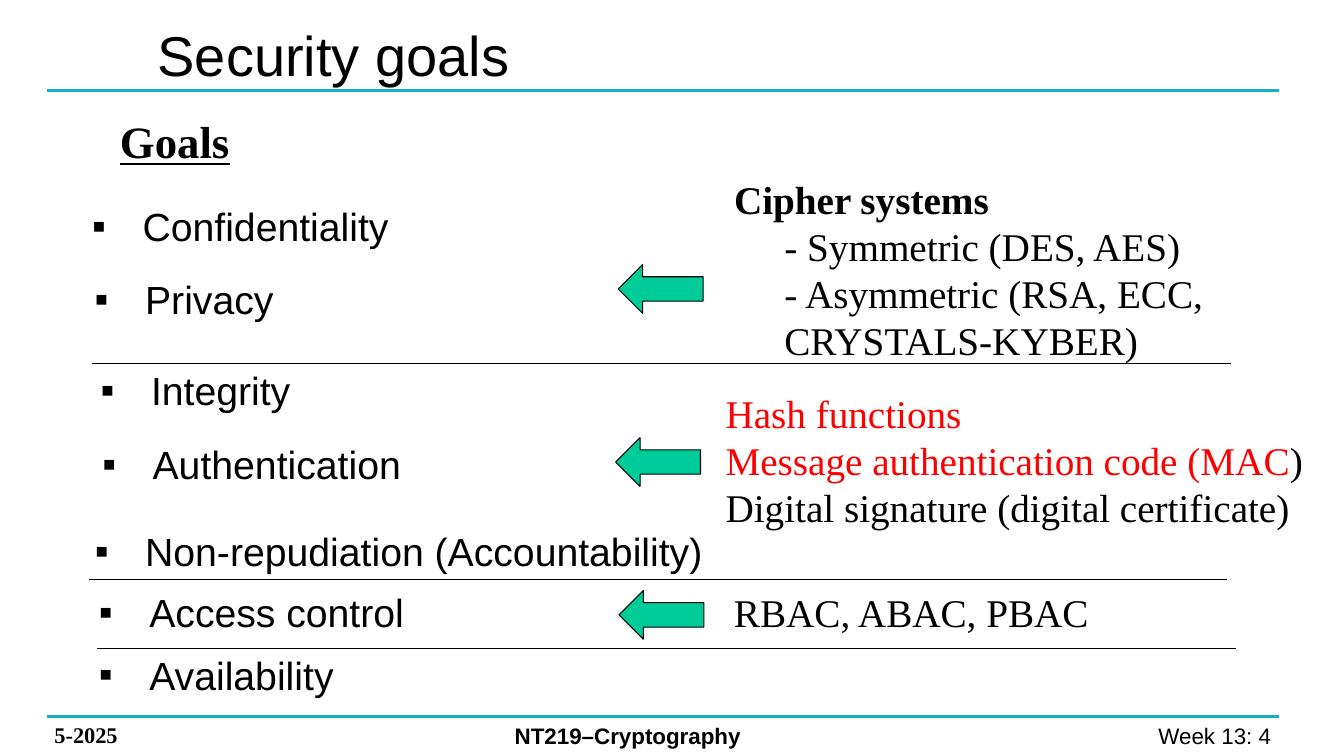
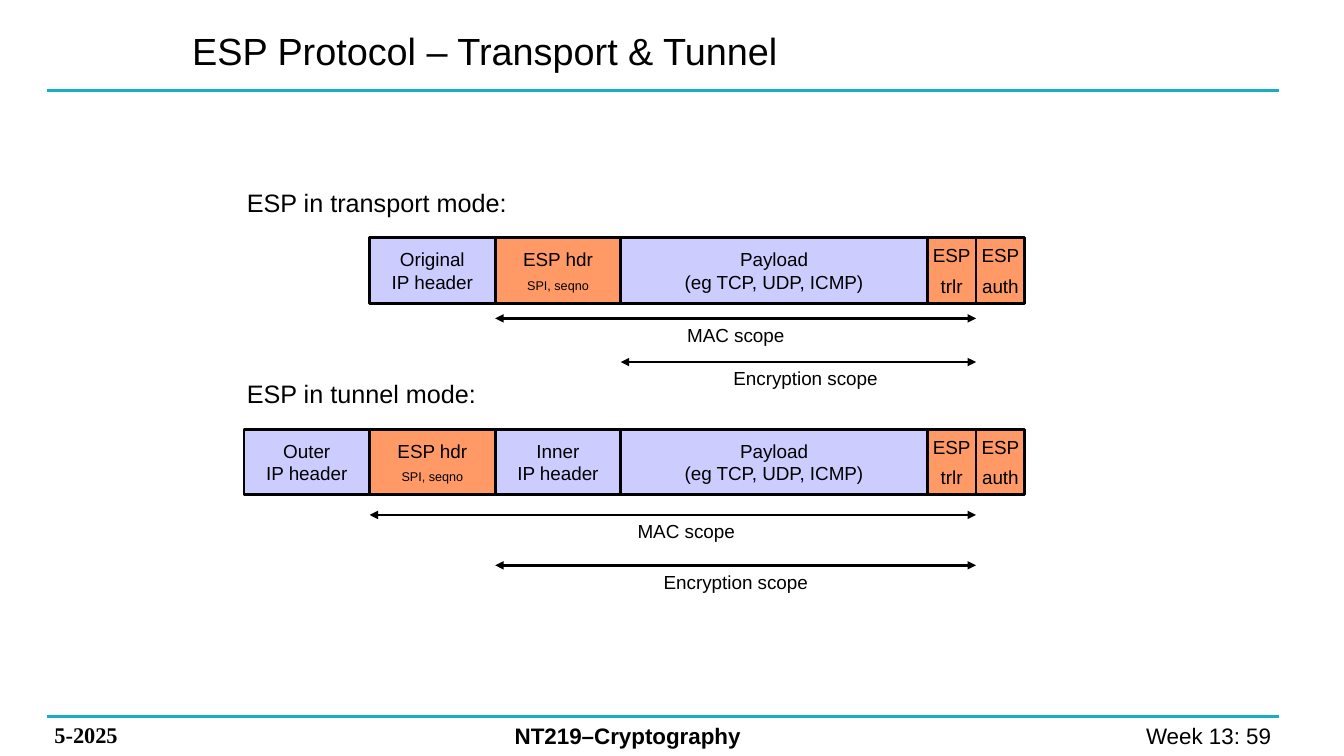
from dataclasses import dataclass, field
from itertools import accumulate

from lxml.etree import SubElement
from pptx import Presentation
from pptx.dml.color import RGBColor
from pptx.enum.shapes import MSO_CONNECTOR, MSO_SHAPE
from pptx.enum.text import MSO_ANCHOR, MSO_AUTO_SIZE, PP_ALIGN
from pptx.oxml.ns import qn
from pptx.util import Inches, Pt

COLS, ROWS = 160, 90
UNIT = Inches(1) // 12  # side of one square grid cell
BLACK, TEAL, GREEN, RED = "000000", "16AFC2", "00CC99", "FF0000"
LILAC, PEACH = "CCCCFF", "FF9966"
SANS = {"name": "Arial", "color": BLACK}
SERIF = {"name": "Times New Roman", "color": BLACK}
BODY = {**SANS, "size": Pt(28)}
NOTE = {**SERIF, "size": Pt(28)}
FOOT = {"size": Pt(16)}
SMALL = {**SANS, "size": Pt(13.5)}
CENTER = {"alignment": PP_ALIGN.CENTER}


def hue(code):
    return RGBColor.from_string(code)


def grid(*cells):
    """Turn grid columns and rows into slide lengths."""
    return [round(cell * UNIT) for cell in cells]


def style(target, form):
    for key, value in form.items():
        if key == "color":
            target.color.rgb = hue(value)
        else:
            setattr(target, key, value)


@dataclass
class Line:
    """One paragraph: runs of (text, font changes), its format and indents."""
    runs: list
    form: dict = field(default_factory=dict)
    left: float = 0
    mark: str = ""


def plain(text, font=None, **form):
    return Line([(text, font or {})], form)


class Deck:
    def __init__(self):
        self.file = Presentation()
        self.file.slide_width, self.file.slide_height = grid(COLS, ROWS)

    def page(self, title, box, size, number):
        """Add a slide with its title, rules and footer."""
        slide = self.file.slides.add_slide(self.file.slide_layouts[6])
        self.shapes = slide.shapes
        for row in (10.8, 85.3):
            self.rule(5.6, 152.3, row, TEAL, 2.25)
        self.text((5.3, 85.3, 21.4, 4.4), [plain("5-2025")],
                  {**SERIF, **FOOT, "bold": True})
        self.text((60.1, 85.4, 49.1, 4.4), [plain("NT219–Cryptography")],
                  {**SANS, **FOOT, "bold": True})
        self.text((117.8, 85.4, 34.7, 4.4),
                  [plain(f"Week 13: {number}", alignment=PP_ALIGN.RIGHT)],
                  {**SANS, **FOOT})
        self.text(box, [plain(title)], {**SANS, "size": Pt(size)},
                  auto_size=MSO_AUTO_SIZE.NONE,
                  vertical_anchor=MSO_ANCHOR.MIDDLE)

    def label(self, shape, lines, font, **frame):
        """Put lines of text into a shape."""
        body = shape.text_frame
        style(body, frame)
        for spot, line in enumerate(lines):
            para = body.add_paragraph() if spot else body.paragraphs[0]
            style(para, line.form)
            if line.left:
                props = para._p.get_or_add_pPr()
                inset = Inches(line.left)
                props.set("marL", str(inset))
                props.set("indent", str(-inset if line.mark else 0))
                if line.mark:
                    SubElement(props, qn("a:buFont"), typeface="Arial")
                    SubElement(props, qn("a:buChar"), char=line.mark)
            for words, change in line.runs:
                run = para.add_run()
                run.text = words
                style(run.font, {**font, **change})

    def text(self, box, lines, font, **frame):
        base = {"word_wrap": True,
                "auto_size": MSO_AUTO_SIZE.SHAPE_TO_FIT_TEXT}
        self.label(self.shapes.add_textbox(*grid(*box)), lines, font,
                   **{**base, **frame})

    def shape(self, kind, box, fill, width):
        item = self.shapes.add_shape(kind, *grid(*box))
        item.shadow.inherit = False
        item.fill.solid()
        item.fill.fore_color.rgb = hue(fill)
        style(item.line, {"color": BLACK, "width": Pt(width)})
        return item

    def cell(self, box, fill, lines):
        item = self.shape(MSO_SHAPE.RECTANGLE, box, fill, 2)
        self.label(item, lines, SMALL, word_wrap=False,
                   vertical_anchor=MSO_ANCHOR.MIDDLE)

    def arrow(self, left, top):
        self.shape(MSO_SHAPE.LEFT_ARROW, (left, top, 10.1, 5.8), GREEN, 0.75)

    def rule(self, left, right, row, color=BLACK, width=0.75, heads=False):
        item = self.shapes.add_connector(
            MSO_CONNECTOR.STRAIGHT, *grid(left, row, right, row))
        style(item.line, {"color": color, "width": Pt(width)})
        if heads:
            for end in ("a:headEnd", "a:tailEnd"):
                SubElement(item.line._get_or_add_ln(), qn(end),
                           type="triangle")
        SubElement(item._element.spPr, qn("a:effectLst"))

    def scope(self, name, left, right, row, mid):
        """Draw a two-headed span with its name centred on mid."""
        self.rule(left, right, row, width=2, heads=True)
        self.text((mid - 25.3, row, 50.6, 4), [plain(name, **CENTER)], SMALL)


def goals(deck):
    deck.page("Security goals", (17.6, 1.3, 87.4, 10.4), 40, 4)
    for name, left, top, width in (
            ("Confidentiality", 9.8, 23.5, 38.2),
            ("Privacy", 10.1, 32.2, 24),
            ("Integrity", 10.8, 43, 25.3),
            ("Authentication", 11, 51.8, 38.4),
            ("Non-repudiation (Accountability)", 10.1, 62.2, 76),
            ("Access control", 10.6, 69.5, 39.1),
            ("Availability", 10.6, 76.9, 30.7)):
        deck.text((left, top, width, 6.8),
                  [Line([(name, {})], left=0.5, mark="▪")], BODY,
                  word_wrap=False)
    deck.text((13.1, 13, 15.6, 7.7), [plain("Goals")],
              {**SERIF, "size": Pt(32), "bold": True, "underline": True},
              word_wrap=False)
    ciphers = [Line([(name, {})], {"level": 1}, 0.5) for name in (
        "- Symmetric (DES, AES)", "- Asymmetric (RSA, ECC, CRYSTALS-KYBER)")]
    deck.text((86.2, 20.3, 71.4, 23.9),
              [plain("Cipher systems", {"bold": True}), *ciphers], NOTE)
    red = {"color": RED}
    deck.text((85.2, 45.7, 74.8, 18.1), [
        plain("Hash functions", red),
        Line([("Message authentication code (MAC", red), (")", {})]),
        plain("Digital signature (digital certificate)")], NOTE)
    deck.text((86.2, 69.5, 45.1, 6.8), [plain("RBAC, ABAC, PBAC")], NOTE,
              word_wrap=False)
    for left, top in ((73.6, 31.5), (73.3, 52.1), (73.7, 70.3)):
        deck.arrow(left, top)
    for left, row in ((11, 43.3), (10.6, 69), (11.6, 77.2)):
        deck.rule(left, left + 135.5, row)


def packets(deck):
    deck.page("ESP Protocol – Transport & Tunnel", (21.7, 1.7, 73, 8.5), 27, 59)
    wide = 14.95
    edges = list(accumulate([29.05, wide, wide, wide, 36.5, 5.8, 5.8]))

    def pair(top, low, gap=0, font=None):
        return [plain(top, **CENTER),
                plain(low, font, space_before=Pt(gap), **CENTER)]

    head = PEACH, pair("ESP hdr", "SPI, seqno", 5, {"size": Pt(9)})
    tail = [(LILAC, pair("Payload", "(eg TCP, UDP, ICMP)")),
            (PEACH, pair("ESP", "trlr", 5.5)),
            (PEACH, pair("ESP", "auth", 5.5))]
    first, outer, inner = (
        (LILAC, pair(name, "IP header"))
        for name in ("Original", "Outer", "Inner"))
    for mode, top, start, cells, scopes in (
            ("transport", 28.3, 1, [first, head],
             [("MAC", 2, 37.9, 87.6), ("Encryption", 3, 43.1, 95.9)]),
            ("tunnel", 51.1, 0, [outer, head, inner],
             [("MAC", 1, 61.3, 81.7), ("Encryption", 2, 67.3, 87.6)])):
        deck.text((28.2, top - 6.6, 43.2, 4.8),
                  [plain(f"ESP in {mode} mode:")], {**SANS, "size": Pt(18)})
        spans = zip(edges[start:], edges[start + 1:])
        for (left, right), (fill, lines) in zip(spans, cells + tail):
            deck.cell((left, top, right - left, 7.8), fill, lines)
        for name, begin, row, mid in scopes:
            deck.scope(f"{name} scope", edges[begin], edges[5], row, mid)


def main():
    deck = Deck()
    goals(deck)
    packets(deck)
    deck.file.save("out.pptx")


if __name__ == "__main__":
    main()
